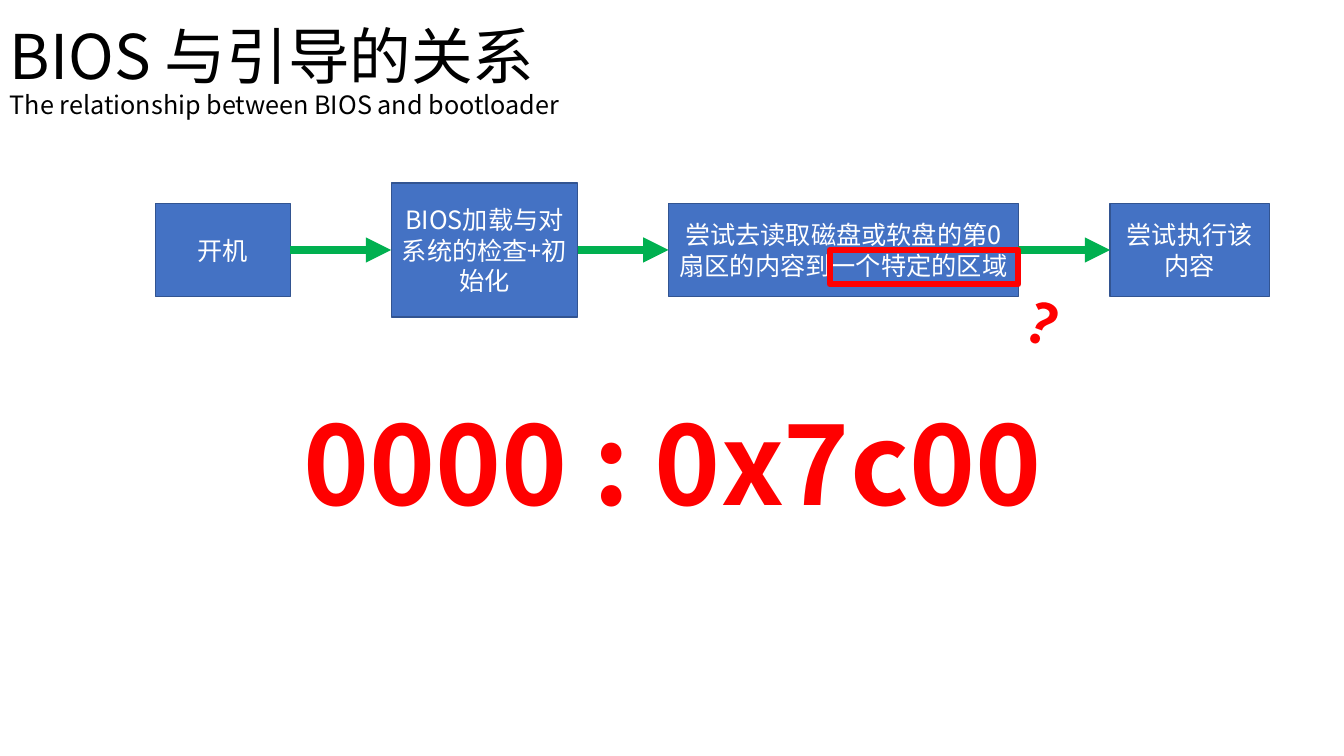
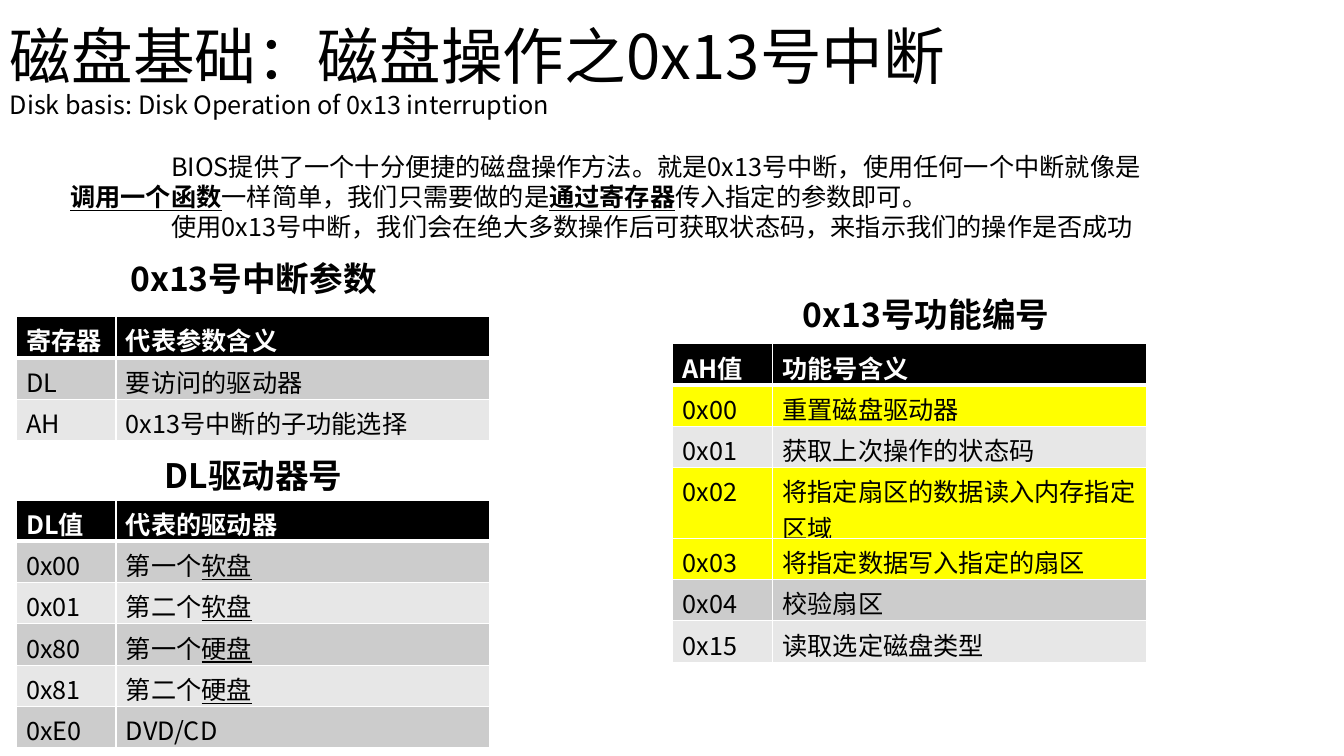
from dataclasses import dataclass

from lxml import etree
from pptx import Presentation
from pptx import util as u
from pptx.dml.color import RGBColor
from pptx.enum import shapes, text
from pptx.oxml import ns

CENTER = text.PP_ALIGN.CENTER
LEFT = text.PP_ALIGN.LEFT


@dataclass(frozen=True)
class Theme:
    font: str = "Noto Sans CJK SC"
    black: str = "000000"
    white: str = "FFFFFF"
    red: str = "FF0000"
    box: str = "4472C4"
    box_line: str = "325491"
    arrow: str = "00B050"
    mark: str = "FFFF00"
    bands: tuple = ("CCCCCC", "E7E7E7")
    title: int = 44
    body: int = 18
    heading: int = 24
    question: int = 40
    address: int = 80


class Deck:
    def __init__(self, theme):
        self.theme = theme
        self.prs = Presentation()
        self.prs.slide_width = u.Inches(13.33)
        self.prs.slide_height = u.Inches(7.5)
        self.slide = None

    def new_slide(self, title, subtitle):
        self.slide = self.prs.slides.add_slide(self.prs.slide_layouts[6])
        frame = self.frame(0, 0, 11.5, 1.45)
        frame.vertical_anchor = text.MSO_ANCHOR.MIDDLE
        para = frame.paragraphs[0]
        para.line_spacing = 0.9
        self.run(para, title, self.theme.title)
        para.add_line_break()
        self.run(para, subtitle)

    def frame(self, left, top, width, height):
        box = self.slide.shapes.add_textbox(*map(u.Inches, (left, top, width, height)))
        box.text_frame.word_wrap = True
        return box.text_frame

    def run(self, para, words, size=None, color=None, bold=False, underline=False):
        run = para.add_run()
        run.text = words
        font = run.font
        font.name = self.theme.font
        font.size = u.Pt(size or self.theme.body)
        font.bold = bold
        font.underline = underline
        font.color.rgb = RGBColor.from_string(color or self.theme.black)
        east_asian = etree.SubElement(run._r.get_or_add_rPr(), ns.qn("a:ea"))
        east_asian.set("typeface", self.theme.font)

    def label(self, words, left, top, width, height, size, color=None, wrap=True, turn=0):
        """Add one centred bold line, turned by the given degrees."""
        box = self.slide.shapes.add_textbox(*map(u.Inches, (left, top, width, height)))
        box.rotation = turn
        box.text_frame.word_wrap = wrap
        box.text_frame.auto_size = text.MSO_AUTO_SIZE.SHAPE_TO_FIT_TEXT
        para = box.text_frame.paragraphs[0]
        para.alignment = CENTER
        self.run(para, words, size, color, bold=True)

    def heading(self, words, left, top):
        self.label(words, left, top, 3.29, 0.5, self.theme.heading)

    def prose(self, paragraphs, left, top, width, height):
        """Add indented paragraphs; each is a list of (words, emphasised)."""
        frame = self.frame(left, top, width, height)
        for index, pieces in enumerate(paragraphs):
            para = frame.add_paragraph() if index else frame.paragraphs[0]
            para._p.get_or_add_pPr().set("indent", str(u.Inches(1)))
            for words, strong in pieces:
                self.run(para, words, bold=strong, underline=strong)

    def rectangle(self, left, top, width, height, line, weight, fill=None):
        rect = self.slide.shapes.add_shape(
            shapes.MSO_SHAPE.RECTANGLE, *map(u.Inches, (left, top, width, height)))
        rect.shadow.inherit = False
        if fill:
            rect.fill.solid()
            rect.fill.fore_color.rgb = RGBColor.from_string(fill)
        else:
            rect.fill.background()
        rect.line.color.rgb = RGBColor.from_string(line)
        rect.line.width = u.Pt(weight)
        return rect

    def step(self, words, left, width, height, middle):
        theme = self.theme
        rect = self.rectangle(left, middle - height / 2, width, height,
                              theme.box_line, 1, theme.box)
        frame = rect.text_frame
        frame.word_wrap = True
        frame.vertical_anchor = text.MSO_ANCHOR.MIDDLE
        frame.paragraphs[0].alignment = CENTER
        self.run(frame.paragraphs[0], words, color=theme.white)
        return rect

    def arrow(self, start, end):
        """Join the right side of one step to the left side of the next."""
        link = self.slide.shapes.add_connector(shapes.MSO_CONNECTOR.STRAIGHT, 0, 0, 0, 0)
        link.begin_connect(start, 3)
        link.end_connect(end, 1)
        link.line.color.rgb = RGBColor.from_string(self.theme.arrow)
        link.line.width = u.Pt(6)
        etree.SubElement(link.line._get_or_add_ln(), ns.qn("a:tailEnd")).set("type", "triangle")
        etree.SubElement(link._element.spPr, ns.qn("a:effectLst"))

    def borders(self, cell, top, bottom):
        props = cell._tc.get_or_add_tcPr()
        weights = {"a:lnL": 1, "a:lnR": 1, "a:lnT": top, "a:lnB": bottom}
        for index, (side, weight) in enumerate(weights.items()):
            line = etree.Element(ns.qn(side), w=str(u.Pt(weight)))
            fill = etree.SubElement(line, ns.qn("a:solidFill"))
            etree.SubElement(fill, ns.qn("a:srgbClr")).set("val", self.theme.white)
            props.insert(index, line)

    def table(self, header, rows, left, top, height, marked=()):
        """Add a two-column table; a meaning may be (plain, underlined)."""
        theme = self.theme
        holder = self.slide.shapes.add_table(
            len(rows) + 1, 2, *map(u.Inches, (left, top, 4.7, height)))
        grid = holder.table
        for column, width in zip(grid.columns, (0.99, 3.71)):
            column.width = u.Inches(width)
        for r, values in enumerate([header, *rows]):
            grid.rows[r].height = u.Inches(0.41)
            head = r == 0
            if head:
                fill = theme.black
            else:
                fill = theme.mark if values[0] in marked else theme.bands[(r - 1) % 2]
            for c, value in enumerate(values):
                cell = grid.cell(r, c)
                cell.fill.solid()
                cell.fill.fore_color.rgb = RGBColor.from_string(fill)
                self.borders(cell, 3 if r == 1 else 1, 3 if head else 1)
                pieces = (value,) if isinstance(value, str) else value
                for i, words in enumerate(pieces):
                    self.run(cell.text_frame.paragraphs[0], words, bold=head,
                             color=theme.white if head else theme.black, underline=i > 0)
        holder.height = u.Inches(height)


def boot_slide(deck):
    theme = deck.theme
    deck.new_slide("BIOS 与引导的关系", "The relationship between BIOS and bootloader")
    steps = [deck.step(*step, middle=2.48) for step in (
        ("开机", 1.54, 1.34, 0.92),
        ("BIOS加载与对系统的检查+初始化", 3.88, 1.85, 1.33),
        ("尝试去读取磁盘或软盘的第0扇区的内容到一个特定的区域", 6.63, 3.47, 0.92),
        ("尝试执行该内容", 11.01, 1.58, 0.92),
    )]
    for start, end in zip(steps, steps[1:]):
        deck.arrow(start, end)
    deck.rectangle(8.23, 2.48, 1.87, 0.34, theme.red, 4.5)
    deck.label("？", 10.1, 2.82, 0.52, 0.77, theme.question, theme.red, wrap=False, turn=20.6)
    deck.label("0000 : 0x7c00", 2.88, 3.85, 7.58, 1.45, theme.address, theme.red)


def interrupt_slide(deck):
    deck.new_slide("磁盘基础：磁盘操作之0x13号中断",
                   "Disk basis: Disk Operation of 0x13 interruption")
    deck.prose([
        [("BIOS提供了一个十分便捷的磁盘操作方法。就是0x13号中断，使用任何一个中断就像是", False),
         ("调用一个函数", True),
         ("一样简单，我们只需要做的是", False),
         ("通过寄存器", True),
         ("传入指定的参数即可。", False)],
        [("使用0x13号中断，我们会在绝大多数操作后可获取状态码，来指示我们的操作是否成功", False)],
    ], 0.6, 1.45, 11.03, 1.01)

    deck.heading("0x13号中断参数", 0.87, 2.51)
    deck.table(("寄存器", "代表参数含义"), [
        ("DL", "要访问的驱动器"),
        ("AH", "0x13号中断的子功能选择"),
    ], 0.16, 3.14, 1.22)

    deck.heading("DL驱动器号", 0.87, 4.46)
    deck.table(("DL值", "代表的驱动器"), [
        ("0x00", ("第一个", "软盘")),
        ("0x01", ("第二个", "软盘")),
        ("0x80", ("第一个", "硬盘")),
        ("0x81", ("第二个", "硬盘")),
        ("0xE0", "DVD/CD"),
    ], 0.16, 4.96, 2.43)

    deck.heading("0x13号功能编号", 7.54, 2.87)
    deck.table(("AH值", "功能号含义"), [
        ("0x00", "重置磁盘驱动器"),
        ("0x01", "获取上次操作的状态码"),
        ("0x02", "将指定扇区的数据读入内存指定区域"),
        ("0x03", "将指定数据写入指定的扇区"),
        ("0x04", "校验扇区"),
        ("0x15", "读取选定磁盘类型"),
    ], 6.67, 3.41, 3.13, marked=("0x00", "0x02", "0x03"))


def main():
    deck = Deck(Theme())
    boot_slide(deck)
    interrupt_slide(deck)
    deck.prs.save("out.pptx")


if __name__ == "__main__":
    main()
